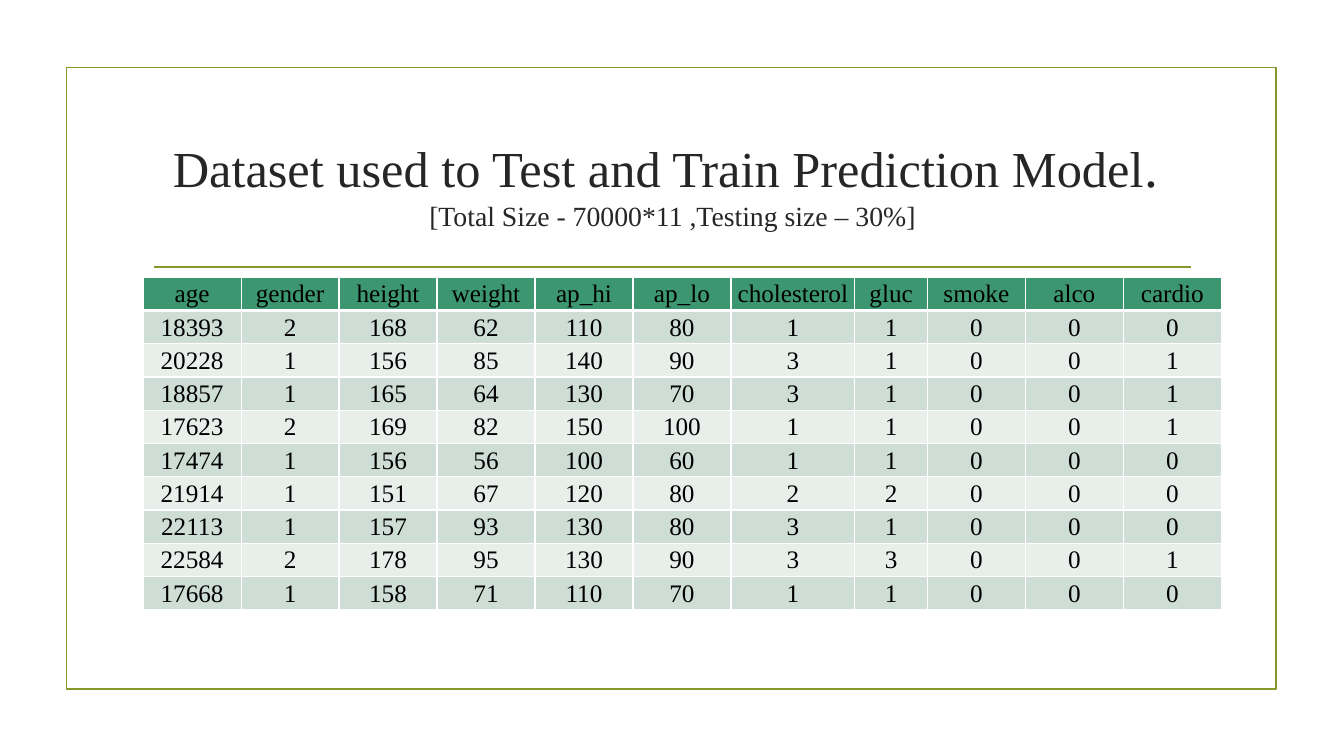
from dataclasses import dataclass

from lxml.etree import SubElement
from pptx import Presentation
from pptx.dml.color import RGBColor
from pptx.enum.shapes import MSO_CONNECTOR, MSO_SHAPE
from pptx.enum.text import MSO_ANCHOR, MSO_AUTO_SIZE, PP_ALIGN
from pptx.oxml import parse_xml
from pptx.oxml.ns import nsdecls, qn
from pptx.util import Inches, Pt

WIDE, HIGH = Inches(13.33), Inches(7.5)
FONT = "Times New Roman"
OLIVE, INK, BLACK, WHITE = "83992A", "262626", "000000", "FFFFFF"
HEAD, BANDS = "3C9770", ("CEDDD5", "E8EFEB")


@dataclass
class Box:
    left: float
    top: float
    width: float
    height: float

    def place(self) -> tuple[int, int, int, int]:
        return across(self.left), down(self.top), across(self.width), down(self.height)


@dataclass
class Part:
    text: str
    size: float


@dataclass
class Field:
    name: str
    values: str
    width: float = 7.29


FRAME = Box(4.95, 8.93, 90.02, 82.27)
TITLE = Box(10.65, 14.53, 78.77, 19.07)
GRID = Box(10.65, 36.67, 80.23, 44)
RULE = Box(11.48, 35.33, 77.12, 0)

PARTS = [
    Part("Dataset used to Test and Train Prediction Model", 36),
    Part(". ", 39.6),
    Part("[Total Size - 70000*11 ,Testing size – 30%]", 19.8),
]

FIELDS = [
    Field("age", "18393 20228 18857 17623 17474 21914 22113 22584 17668"),
    Field("gender", "2 1 1 2 1 1 1 2 1"),
    Field("height", "168 156 165 169 156 151 157 178 158"),
    Field("weight", "62 85 64 82 56 67 93 95 71"),
    Field("ap_hi", "110 140 130 150 100 120 130 130 110"),
    Field("ap_lo", "80 90 70 100 60 80 80 90 70"),
    Field("cholesterol", "1 3 3 1 1 2 3 3 1", 9.22),
    Field("gluc", "1 1 1 1 1 2 1 3 1", 5.4),
    Field("smoke", "0 0 0 0 0 0 0 0 0"),
    Field("alco", "0 0 0 0 0 0 0 0 0"),
    Field("cardio", "0 1 1 1 0 0 0 1 0"),
]


def across(share: float) -> int:
    return round(WIDE * share / 100)


def down(share: float) -> int:
    return round(HIGH * share / 100)


def tint(code: str) -> RGBColor:
    return RGBColor.from_string(code)


def style(run, size: float, code: str) -> None:
    run.font.name = FONT
    run.font.size = Pt(size)
    run.font.color.rgb = tint(code)


def stroke(line) -> None:
    line.color.rgb = tint(OLIVE)
    line.width = Pt(1.25)


def draw_frame(slide) -> None:
    frame = slide.shapes.add_shape(MSO_SHAPE.RECTANGLE, *FRAME.place())
    frame.shadow.inherit = False
    frame.fill.background()
    stroke(frame.line)


def draw_rule(slide) -> None:
    left, top, width, height = RULE.place()
    rule = slide.shapes.add_connector(
        MSO_CONNECTOR.STRAIGHT, left, top, left + width, top + height
    )
    SubElement(rule._element.spPr, qn("a:effectLst"))
    stroke(rule.line)


def draw_title(slide) -> None:
    title = slide.shapes.title
    title.left, title.top, title.width, title.height = TITLE.place()
    frame = title.text_frame
    frame.word_wrap = True
    frame.auto_size = MSO_AUTO_SIZE.NONE
    frame.vertical_anchor = MSO_ANCHOR.MIDDLE
    lead, stop, note = PARTS
    line = frame.paragraphs[0]
    line.text = lead.text
    line.alignment = PP_ALIGN.CENTER
    line.add_run().text = stop.text
    line.add_line_break()
    line.add_run().text = note.text
    for run, part in zip(line.runs, PARTS):
        style(run, part.size, INK)


def edge(cell, row: int) -> None:
    widths = {"L": 1, "R": 1, "T": 3 if row == 1 else 1, "B": 3 if row == 0 else 1}
    props = cell._tc.get_or_add_tcPr()
    for spot, (side, width) in enumerate(widths.items()):
        props.insert(spot, parse_xml(
            f'<a:ln{side} {nsdecls("a")} w="{Pt(width)}"><a:solidFill>'
            f'<a:srgbClr val="{WHITE}"/></a:solidFill></a:ln{side}>'
        ))


def fill_cell(cell, text: str, row: int) -> None:
    cell.text_frame.text = text
    cell.vertical_anchor = MSO_ANCHOR.MIDDLE
    cell.margin_left = cell.margin_right = cell.margin_top = Inches(0.01)
    cell.margin_bottom = 0
    line = cell.text_frame.paragraphs[0]
    line.alignment = PP_ALIGN.CENTER
    style(line.runs[0], 18, BLACK)
    cell.fill.solid()
    cell.fill.fore_color.rgb = tint(BANDS[(row - 1) % 2] if row else HEAD)
    edge(cell, row)


def draw_table(slide) -> None:
    count = len(FIELDS[0].values.split()) + 1
    table = slide.shapes.add_table(count, len(FIELDS), *GRID.place()).table
    table.first_row = table.horz_banding = False
    for row in table.rows:
        row.height = down(GRID.height / count)
    for col, field in enumerate(FIELDS):
        table.columns[col].width = across(field.width)
        for row, text in enumerate([field.name, *field.values.split()]):
            fill_cell(table.cell(row, col), text, row)


def main() -> None:
    deck = Presentation()
    deck.slide_width, deck.slide_height = WIDE, HIGH
    slide = deck.slides.add_slide(deck.slide_layouts[5])
    draw_frame(slide)
    draw_rule(slide)
    draw_title(slide)
    draw_table(slide)
    deck.save("out.pptx")


if __name__ == "__main__":
    main()
